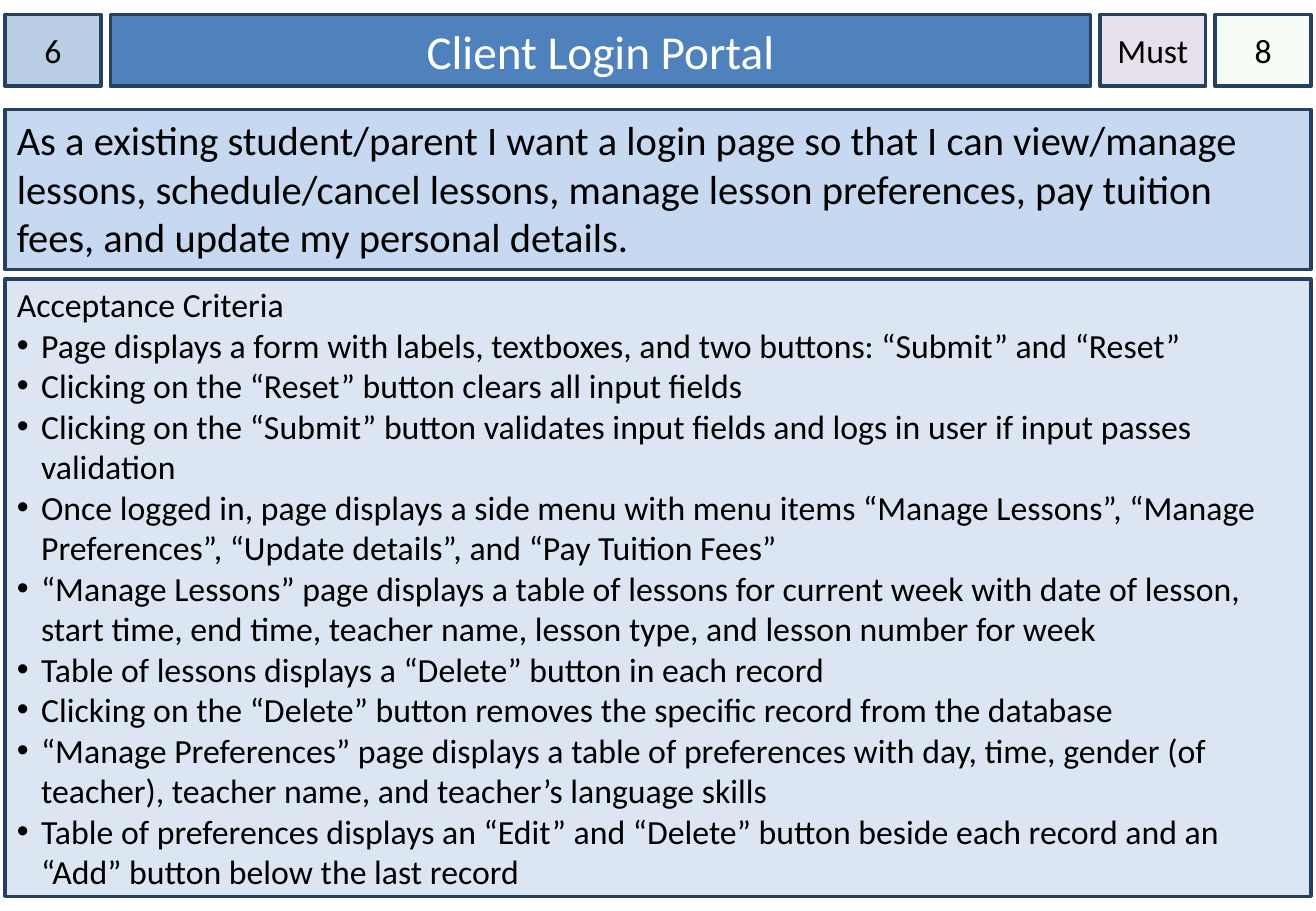
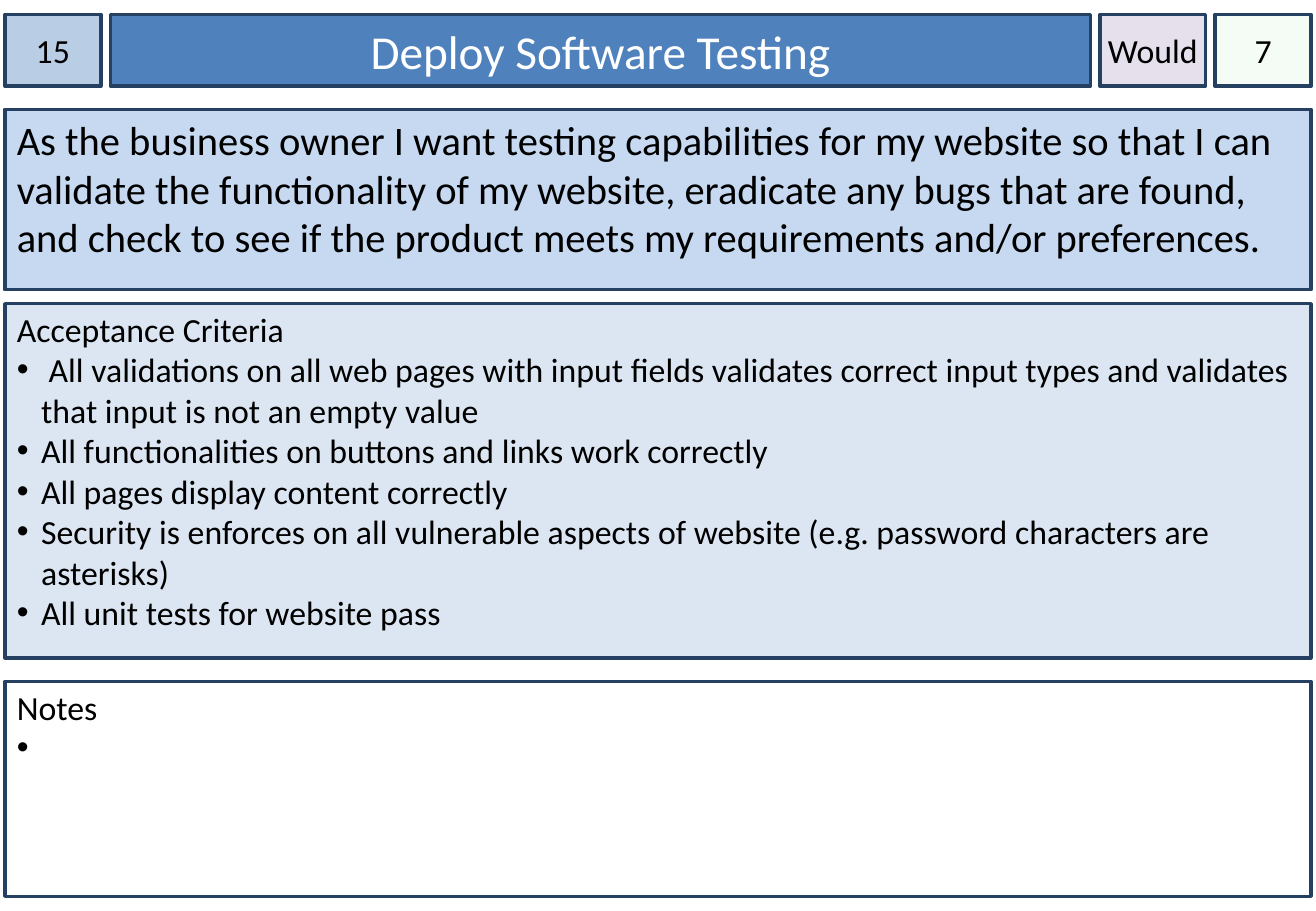
from dataclasses import dataclass

from lxml.etree import SubElement
from pptx import Presentation
from pptx.dml.color import RGBColor
from pptx.enum.shapes import MSO_SHAPE
from pptx.enum.text import MSO_ANCHOR, PP_ALIGN
from pptx.oxml.ns import qn
from pptx.util import Pt


@dataclass(frozen=True)
class Theme:
    font: str = "Calibri"
    text: str = "000000"
    title_text: str = "FFFFFF"
    border: str = "254061"
    number: str = "B9CDE5"
    title: str = "4F81BD"
    priority: str = "E6E0EC"
    points: str = "CCF0CD"
    story: str = "C6D9F1"
    criteria: str = "DCE6F2"
    notes: str = "FFFFFF"
    title_size: float = 28
    story_size: float = 24
    body_size: float = 20
    border_width: float = 2


SLIDE_WIDTH, SLIDE_HEIGHT = 780, 540
MARGIN = 2.9
CONTENT_WIDTH = SLIDE_WIDTH - 2 * MARGIN
HEADER_TOP, HEADER_HEIGHT, HEADER_GAP = 8.6, 42.5, 5.6
NUMBER_WIDTH, PRIORITY_WIDTH = 56.9, 62.6
STORY_TOP, PANEL_BOTTOM = 64.8, 531.4
BULLET_INDENT = 14.4


class StoryCards:
    def __init__(self, theme):
        self.theme = theme
        self.deck = Presentation()
        self.deck.slide_width, self.deck.slide_height = Pt(SLIDE_WIDTH), Pt(SLIDE_HEIGHT)
        self.slide = None

    def new_card(self):
        self.slide = self.deck.slides.add_slide(self.deck.slide_layouts[6])

    def box(self, left, top, width, height, fill, opacity=100):
        """Add a bordered rectangle and return its text frame."""
        shape = self.slide.shapes.add_shape(
            MSO_SHAPE.RECTANGLE, Pt(left), Pt(top), Pt(width), Pt(height))
        shape.shadow.inherit = False
        shape.fill.solid()
        shape.fill.fore_color.rgb = RGBColor.from_string(fill)
        if opacity < 100:
            color = shape.element.spPr.find(qn("a:solidFill"))[0]
            SubElement(color, qn("a:alpha"), val=str(opacity * 1000))
        shape.line.color.rgb = RGBColor.from_string(self.theme.border)
        shape.line.width = Pt(self.theme.border_width)
        frame = shape.text_frame
        frame.word_wrap = True
        frame.vertical_anchor = MSO_ANCHOR.TOP
        return frame

    def add_text(self, paragraph, text, size, color=None, align=PP_ALIGN.LEFT):
        paragraph.alignment = align
        run = paragraph.add_run()
        run.text = text
        run.font.name = self.theme.font
        run.font.size = Pt(size)
        run.font.color.rgb = RGBColor.from_string(color or self.theme.text)

    def header(self, number, title, priority, points):
        """Add the four cells of the top row, from left to right."""
        t = self.theme
        title_width = CONTENT_WIDTH - 2 * NUMBER_WIDTH - PRIORITY_WIDTH - 3 * HEADER_GAP
        cells = [
            (number, NUMBER_WIDTH, t.number, 100),
            (title, title_width, t.title, 100),
            (priority, PRIORITY_WIDTH, t.priority, 100),
            (points, NUMBER_WIDTH, t.points, 20),
        ]
        left = MARGIN
        for text, width, fill, opacity in cells:
            frame = self.box(left, HEADER_TOP, width, HEADER_HEIGHT, fill, opacity)
            frame.vertical_anchor = MSO_ANCHOR.MIDDLE
            size, color = t.title_size, t.title_text
            if text != title:
                frame.margin_left = frame.margin_right = 0
                size, color = t.body_size, t.text
            frame.word_wrap = text != priority
            self.add_text(frame.paragraphs[0], text, size, color, PP_ALIGN.CENTER)
            left += width + HEADER_GAP

    def story(self, text, height):
        frame = self.box(MARGIN, STORY_TOP, CONTENT_WIDTH, height, self.theme.story)
        self.add_text(frame.paragraphs[0], text, self.theme.story_size)

    def panel(self, heading, bullets, top, bottom, fill):
        """Add a full-width panel with a heading and a bulleted list."""
        frame = self.box(MARGIN, top, CONTENT_WIDTH, bottom - top, fill)
        frame.margin_top = Pt(2.9)
        self.add_text(frame.paragraphs[0], heading, self.theme.body_size)
        for text in bullets:
            paragraph = frame.add_paragraph()
            properties = paragraph._p.get_or_add_pPr()
            properties.set("marL", str(Pt(BULLET_INDENT)))
            properties.set("indent", str(-Pt(BULLET_INDENT)))
            SubElement(properties, qn("a:buFont"), typeface="Arial")
            SubElement(properties, qn("a:buChar"), char="•")
            self.add_text(paragraph, text, self.theme.body_size)


def main():
    theme = Theme()
    cards = StoryCards(theme)

    # Client login card
    cards.new_card()
    cards.header("6", "Client Login Portal", "Must", "8")
    cards.story(
        "As a existing student/parent I want a login page so that I can view/manage "
        "lessons, schedule/cancel lessons, manage lesson preferences, pay tuition fees, "
        "and update my personal details.", 95)
    login_criteria = [
        "Page displays a form with labels, textboxes, and two buttons: “Submit” and “Reset”",
        "Clicking on the “Reset” button clears all input fields",
        "Clicking on the “Submit” button validates input fields and logs in user if input "
        "passes validation",
        "Once logged in, page displays a side menu with menu items “Manage Lessons”, "
        "“Manage Preferences”, “Update details”, and “Pay Tuition Fees”",
        "“Manage Lessons” page displays a table of lessons for current week with date of "
        "lesson, start time, end time, teacher name, lesson type, and lesson number for week",
        "Table of lessons displays a “Delete” button in each record",
        "Clicking on the “Delete” button removes the specific record from the database",
        "“Manage Preferences” page displays a table of preferences with day, time, gender "
        "(of teacher), teacher name, and teacher’s language skills",
        "Table of preferences displays an “Edit” and “Delete” button beside each record and "
        "an “Add” button below the last record",
    ]
    cards.panel("Acceptance Criteria", login_criteria, 165.5, PANEL_BOTTOM, theme.criteria)

    # Software testing card
    cards.new_card()
    cards.header("15", "Deploy Software Testing", "Would", "7")
    cards.story(
        "As the business owner I want testing capabilities for my website so that I can "
        "validate the functionality of my website, eradicate any bugs that are found, and "
        "check to see if the product meets my requirements and/or preferences.", 107)
    testing_criteria = [
        " All validations on all web pages with input fields validates correct input types "
        "and validates that input is not an empty value",
        "All functionalities on buttons and links work correctly",
        "All pages display content correctly",
        "Security is enforces on all vulnerable aspects of website (e.g. password characters "
        "are asterisks)",
        "All unit tests for website pass",
    ]
    cards.panel("Acceptance Criteria", testing_criteria, 180, 390, theme.criteria)
    cards.panel("Notes", [" "], 404, PANEL_BOTTOM, theme.notes)

    cards.deck.save("out.pptx")


if __name__ == "__main__":
    main()
